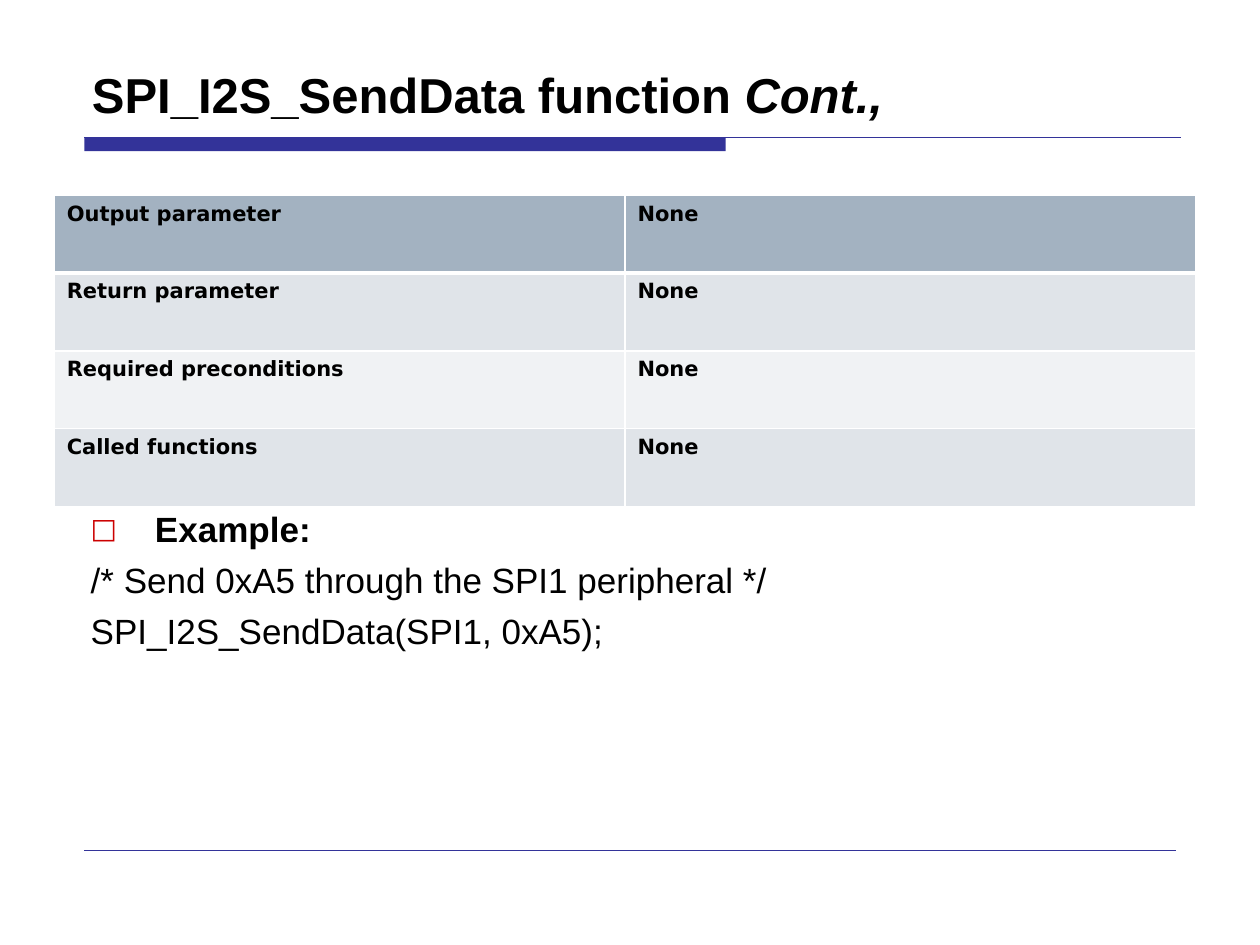
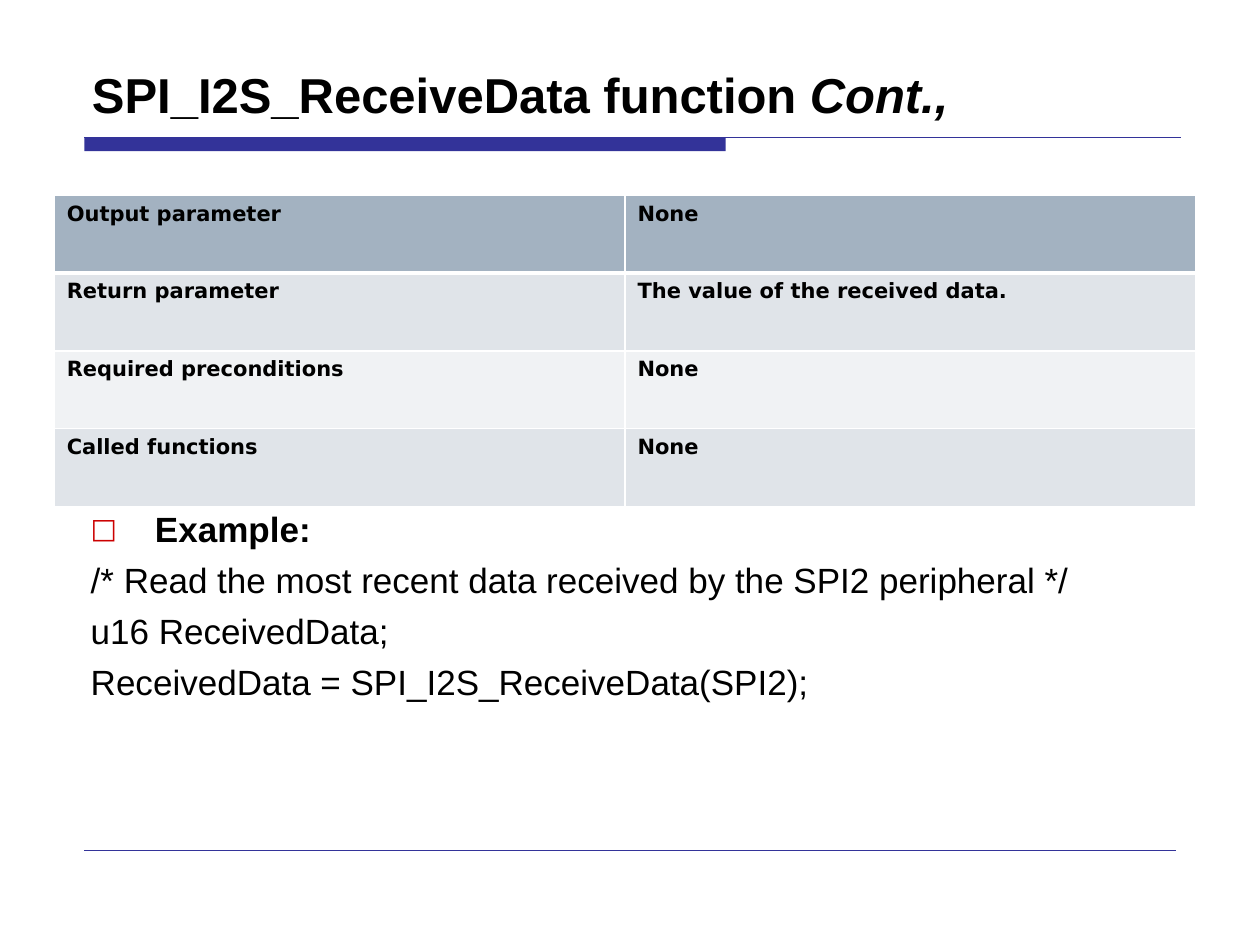
from dataclasses import dataclass

from lxml.etree import SubElement
from pptx import Presentation
from pptx.dml.color import RGBColor
from pptx.enum.shapes import MSO_CONNECTOR, MSO_SHAPE
from pptx.enum.text import MSO_ANCHOR, MSO_AUTO_SIZE, PP_ALIGN
from pptx.oxml.ns import qn
from pptx.util import Inches, Pt


# Colours, fonts and type sizes
@dataclass(frozen=True)
class Theme:
    ink: str = "000000"
    white: str = "FFFFFF"
    accent: str = "333399"
    bullet: str = "CC0000"
    header: str = "A3B2C1"
    bands: tuple[str, str] = ("E0E4E9", "F0F2F4")
    font: str = "Arial"
    table_font: str = "DejaVu Sans"
    title_size: int = 28
    body_size: int = 20
    table_size: int = 12


@dataclass(frozen=True)
class FunctionPage:
    function: str
    returns: str
    code: tuple[str, ...]


@dataclass(frozen=True)
class Rule:
    left: float
    right: float
    top: float
    weight: float


THEME = Theme()
RULES = (Rule(0.67, 9.37, 1.09, 0.75), Rule(0.67, 9.33, 6.75, 0.25))

PAGES = (
    FunctionPage(
        "SPI_I2S_SendData", "None",
        ("/* Send 0xA5 through the SPI1 peripheral */",
         "SPI_I2S_SendData(SPI1, 0xA5);"),
    ),
    FunctionPage(
        "SPI_I2S_ReceiveData", "The value of the received data.",
        ("/* Read the most recent data received by the SPI2 peripheral */",
         "u16 ReceivedData;",
         "ReceivedData = SPI_I2S_ReceiveData(SPI2);"),
    ),
)


def color(value: str) -> RGBColor:
    return RGBColor.from_string(value)


def add_span(para, text: str, size: int, font: str = THEME.font,
             bold: bool = False, italic: bool = False) -> None:
    span = para.add_run()
    span.text = text
    span.font.name = font
    span.font.size = Pt(size)
    span.font.bold = bold
    span.font.italic = italic
    span.font.color.rgb = color(THEME.ink)


def place(box, left: float, top: float, width: float, height: float) -> None:
    box.left, box.top = Inches(left), Inches(top)
    box.width, box.height = Inches(width), Inches(height)


# Title band and thin rules shared by every slide
def add_frame(page) -> None:
    band = page.shapes.add_shape(MSO_SHAPE.RECTANGLE, Inches(0.67), Inches(1.09),
                                 Inches(5.09), Inches(0.11))
    band.shadow.inherit = False
    band.fill.solid()
    band.fill.fore_color.rgb = color(THEME.accent)
    band.line.fill.background()
    for rule in RULES:
        line = page.shapes.add_connector(
            MSO_CONNECTOR.STRAIGHT, Inches(rule.left), Inches(rule.top),
            Inches(rule.right), Inches(rule.top))
        line.line.color.rgb = color(THEME.accent)
        line.line.width = Pt(rule.weight)
        SubElement(line._element.spPr, qn("a:effectLst"))


def add_title(page, function: str) -> None:
    title = page.shapes.title
    place(title, 0.63, 0.28, 8.75, 0.75)
    frame = title.text_frame
    frame.auto_size = MSO_AUTO_SIZE.NONE
    frame.vertical_anchor = MSO_ANCHOR.BOTTOM
    para = frame.paragraphs[0]
    para.alignment = PP_ALIGN.LEFT
    add_span(para, f"{function} function ", THEME.title_size, bold=True)
    add_span(para, "Cont.,", THEME.title_size, bold=True, italic=True)


# Example heading with a square bullet, then code lines without one
def set_bullet(para, shown: bool) -> None:
    props = para._p.get_or_add_pPr()
    props.set("marL", str(Inches(0.51)))
    props.set("indent", str(-Inches(0.51)))
    if not shown:
        SubElement(props, qn("a:buNone"))
        return
    tint = SubElement(props, qn("a:buClr"))
    SubElement(tint, qn("a:srgbClr"), val=THEME.bullet)
    SubElement(props, qn("a:buSzPct"), val="80000")
    SubElement(props, qn("a:buFont"), typeface=THEME.table_font)
    SubElement(props, qn("a:buChar"), char="□")


def add_example(page, code: tuple[str, ...]) -> None:
    body = page.placeholders[1]
    place(body, 0.62, 3.98, 8.75, 2.68)
    frame = body.text_frame
    frame.auto_size = MSO_AUTO_SIZE.NONE
    for index, text in enumerate(("Example:", *code)):
        heading = index == 0
        para = frame.paragraphs[0] if heading else frame.add_paragraph()
        para.space_before = Pt(0 if heading else 5)
        set_bullet(para, heading)
        add_span(para, text, THEME.body_size, bold=heading)


# Parameter table
def set_borders(cell, top: float, bottom: float) -> None:
    props = cell._tc.get_or_add_tcPr()
    for side, weight in (("L", 1), ("R", 1), ("T", top), ("B", bottom)):
        line = SubElement(props, qn(f"a:ln{side}"), w=str(Pt(weight)))
        fill = SubElement(line, qn("a:solidFill"))
        SubElement(fill, qn("a:srgbClr"), val=THEME.white)


def add_parameters(page, returns: str) -> None:
    rows = (("Output parameter", "None"), ("Return parameter", returns),
            ("Required preconditions", "None"), ("Called functions", "None"))
    table = page.shapes.add_table(len(rows), 2, Inches(0.43), Inches(1.55),
                                  Inches(9.06), Inches(2.47)).table
    table.horz_banding = False
    for row, texts in enumerate(rows):
        shade = THEME.bands[(row - 1) % 2] if row else THEME.header
        for column, text in enumerate(texts):
            cell = table.cell(row, column)
            set_borders(cell, top=3 if row == 1 else 1, bottom=1 if row else 3)
            cell.fill.solid()
            cell.fill.fore_color.rgb = color(shade)
            add_span(cell.text_frame.paragraphs[0], text, THEME.table_size,
                     THEME.table_font, bold=True)


def main() -> None:
    deck = Presentation()
    deck.slide_width, deck.slide_height = Inches(10), Inches(7.5)
    for content in PAGES:
        page = deck.slides.add_slide(deck.slide_layouts[1])
        add_frame(page)
        add_title(page, content.function)
        add_example(page, content.code)
        add_parameters(page, content.returns)
    deck.save("out.pptx")


if __name__ == "__main__":
    main()
